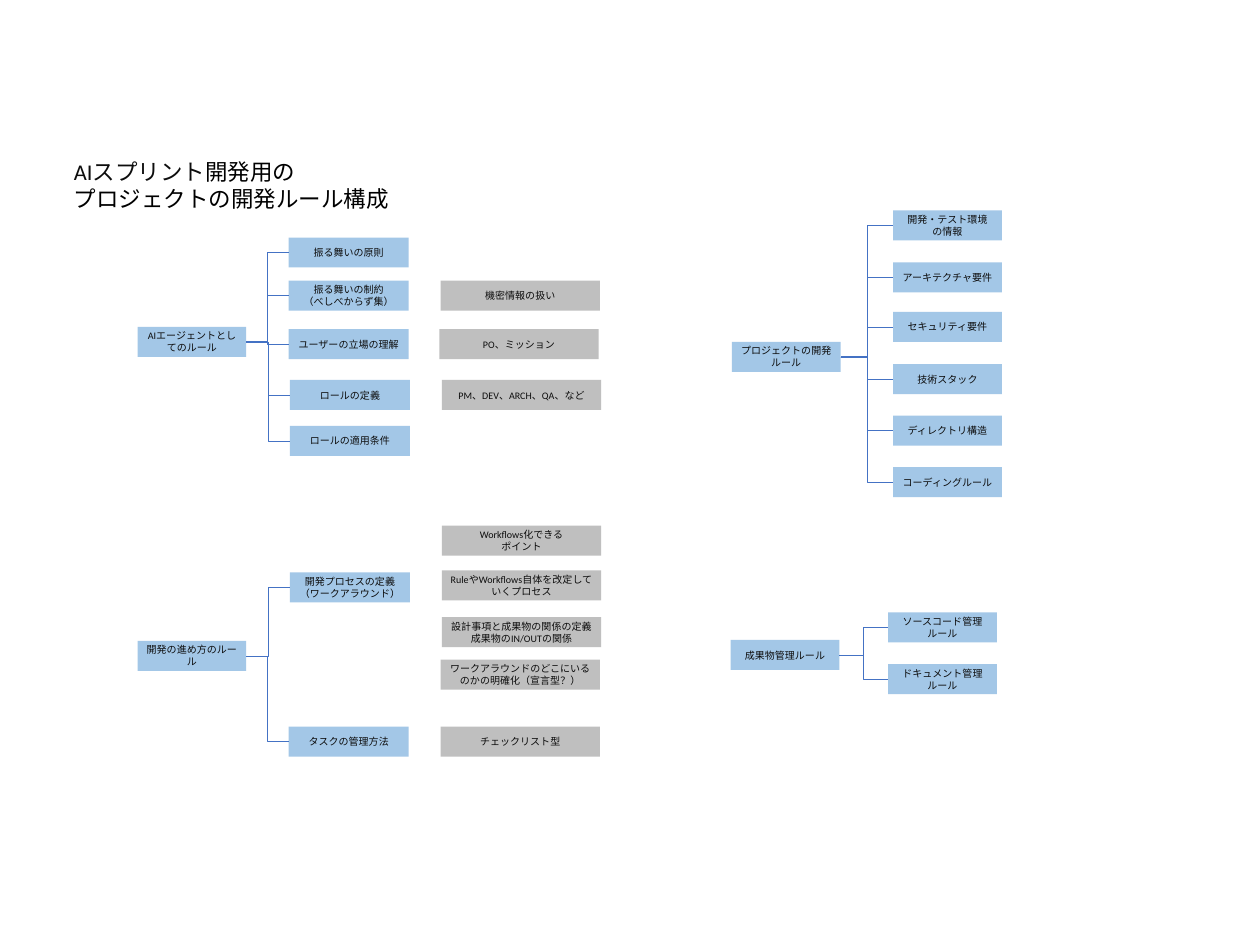
"""Build a slide that maps the development rules of an AI sprint project."""
from lxml import etree
from pptx import Presentation
from pptx.dml.color import RGBColor
from pptx.enum.shapes import MSO_CONNECTOR, MSO_SHAPE
from pptx.enum.text import MSO_ANCHOR, MSO_AUTO_SIZE, PP_ALIGN
from pptx.oxml.ns import qn
from pptx.util import Pt

RECTANGLE = MSO_SHAPE.RECTANGLE
ELBOW = MSO_CONNECTOR.ELBOW
TOP, MIDDLE = MSO_ANCHOR.TOP, MSO_ANCHOR.MIDDLE
LEFT, CENTER = PP_ALIGN.LEFT, PP_ALIGN.CENTER
GROW = MSO_AUTO_SIZE.SHAPE_TO_FIT_TEXT

COLORS = {"rule": "A3C7E7", "note": "BFBFBF", "ink": "0D0D0D", "black": "000000", "line": "4472C4"}
FONT = "Calibri"
TITLE_ONLY = 5
LEFT_SIDE, RIGHT_SIDE = 1, 3
BOX_HEIGHT = 24
ROOT_WIDTH, BRANCH_WIDTH, NOTE_WIDTH = 87, 96, 127.5

TITLE = [
    [("AIスプリント", "ink"), ("開発用の", "black")],
    [("プロジェクトの開発ルール構成", "black")],
]

TREES = [
    {
        "root": ("AIエージェントとしてのルール", 110, 261.5),
        "width": BRANCH_WIDTH,
        "branches": [
            ("振る舞いの原則", 231, 190),
            ("振る舞いの制約\n（べしべからず集）", 231, 224.5),
            ("ユーザーの立場の理解", 231, 263.25),
            ("ロールの定義", 232, 304),
            ("ロールの適用条件", 232, 340.75),
        ],
    },
    {
        "root": ("開発の進め方のルール", 110, 512.75),
        "width": BRANCH_WIDTH,
        "branches": [
            ("開発プロセスの定義\n（ワークアラウンド）", 232, 458),
            ("タスクの管理方法", 231, 581.25),
        ],
    },
    {
        "root": ("プロジェクトの開発ルール", 585.5, 273.5),
        "width": ROOT_WIDTH,
        "branches": [
            ("開発・テスト環境\nの情報", 714.5, 168.25),
            ("アーキテクチャ要件", 714.5, 210),
            ("セキュリティ要件", 714.5, 249.5),
            ("技術スタック", 714.5, 291.25),
            ("ディレクトリ構造", 714.5, 332.5),
            ("コーディングルール", 714.5, 373.75),
        ],
    },
    {
        "root": ("成果物管理ルール", 584.5, 512),
        "width": ROOT_WIDTH,
        "branches": [
            ("ソースコード管理ルール", 710.5, 490),
            ("ドキュメント管理ルール", 710.5, 531.25),
        ],
    },
]

NOTES = [
    ("機密情報の扱い", 352.5, 224.5),
    ("PO、ミッション", 351.5, 263.25),
    ("PM、DEV、ARCH、QA、など", 353.5, 304),
    ("Workflows化できる\nポイント", 353.5, 420.5),
    ("RuleやWorkflows自体を改定していくプロセス", 353.5, 456.25),
    ("設計事項と成果物の関係の定義\n成果物のIN/OUTの関係", 353.5, 493.75),
    ("ワークアラウンドのどこにいるのかの明確化（宣言型？）", 352.5, 527.75),
    ("チェックリスト型", 352.5, 581.25),
]


def write_text(shape, lines, size=8, alignment=CENTER, anchor=MIDDLE, wrap=True):
    """Fill a shape with lines, each a list of (text, colour name) runs."""
    frame = shape.text_frame
    frame.word_wrap = wrap
    frame.vertical_anchor = anchor
    for index, line in enumerate(lines):
        paragraph = frame.add_paragraph() if index else frame.paragraphs[0]
        paragraph.alignment = alignment
        for text, color in line:
            run = paragraph.add_run()
            run.text = text
            run.font.name = FONT
            run.font.size = Pt(size)
            run.font.color.rgb = RGBColor.from_string(COLORS[color])


def add_title(slide):
    """Place and format the title placeholder."""
    title = slide.shapes.title
    title.left, title.top, title.width, title.height = Pt(52), Pt(123), Pt(313), Pt(58)
    write_text(title, TITLE, size=18, alignment=LEFT, anchor=TOP, wrap=False)
    title.text_frame.auto_size = GROW


def add_box(slide, text, left, top, width, fill="rule"):
    """Add a filled rectangle with centred text and return it."""
    box = slide.shapes.add_shape(RECTANGLE, Pt(left), Pt(top), Pt(width), Pt(BOX_HEIGHT))
    box.shadow.inherit = False
    box.fill.solid()
    box.fill.fore_color.rgb = RGBColor.from_string(COLORS[fill])
    box.line.fill.background()
    write_text(box, [[(line, "ink")] for line in text.split("\n")])
    return box


def connect(slide, root, branch):
    """Join a root's right side to a branch's left side with an elbow line."""
    connector = slide.shapes.add_connector(ELBOW, 0, 0, 0, 0)
    connector.begin_connect(root, RIGHT_SIDE)
    connector.end_connect(branch, LEFT_SIDE)
    connector.line.color.rgb = RGBColor.from_string(COLORS["line"])
    connector.line.width = Pt(0.5)
    etree.SubElement(connector._element.spPr, qn("a:effectLst"))


def add_tree(slide, tree):
    """Add a root box and its connected branches."""
    root = add_box(slide, *tree["root"], ROOT_WIDTH)
    for branch in tree["branches"]:
        connect(slide, root, add_box(slide, *branch, tree["width"]))


def main():
    """Create the presentation and save it."""
    presentation = Presentation()
    presentation.slide_width, presentation.slide_height = Pt(1008), Pt(756)
    slide = presentation.slides.add_slide(presentation.slide_layouts[TITLE_ONLY])
    add_title(slide)
    for tree in TREES:
        add_tree(slide, tree)
    for note in NOTES:
        add_box(slide, *note, NOTE_WIDTH, fill="note")
    presentation.save("out.pptx")


if __name__ == "__main__":
    main()
